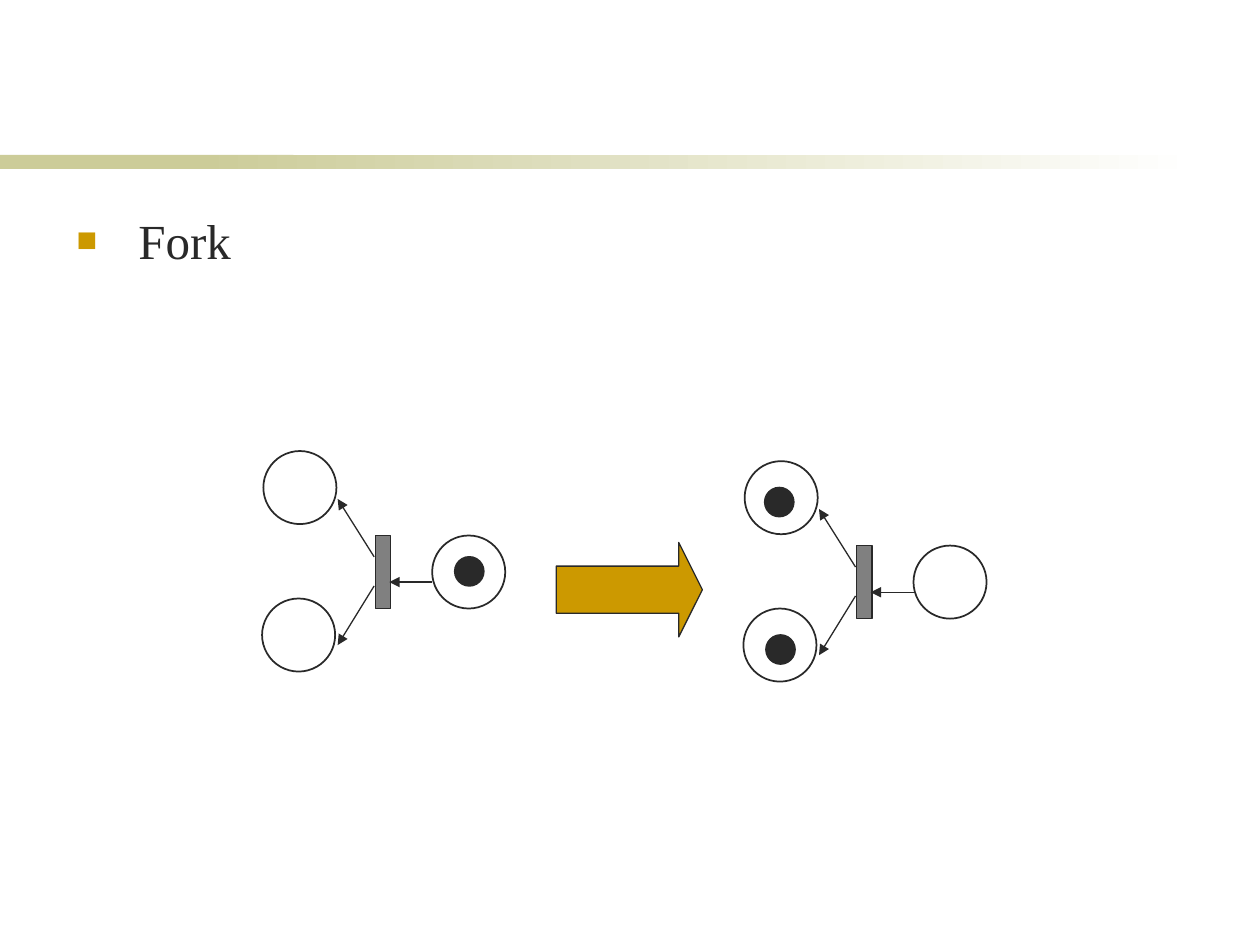
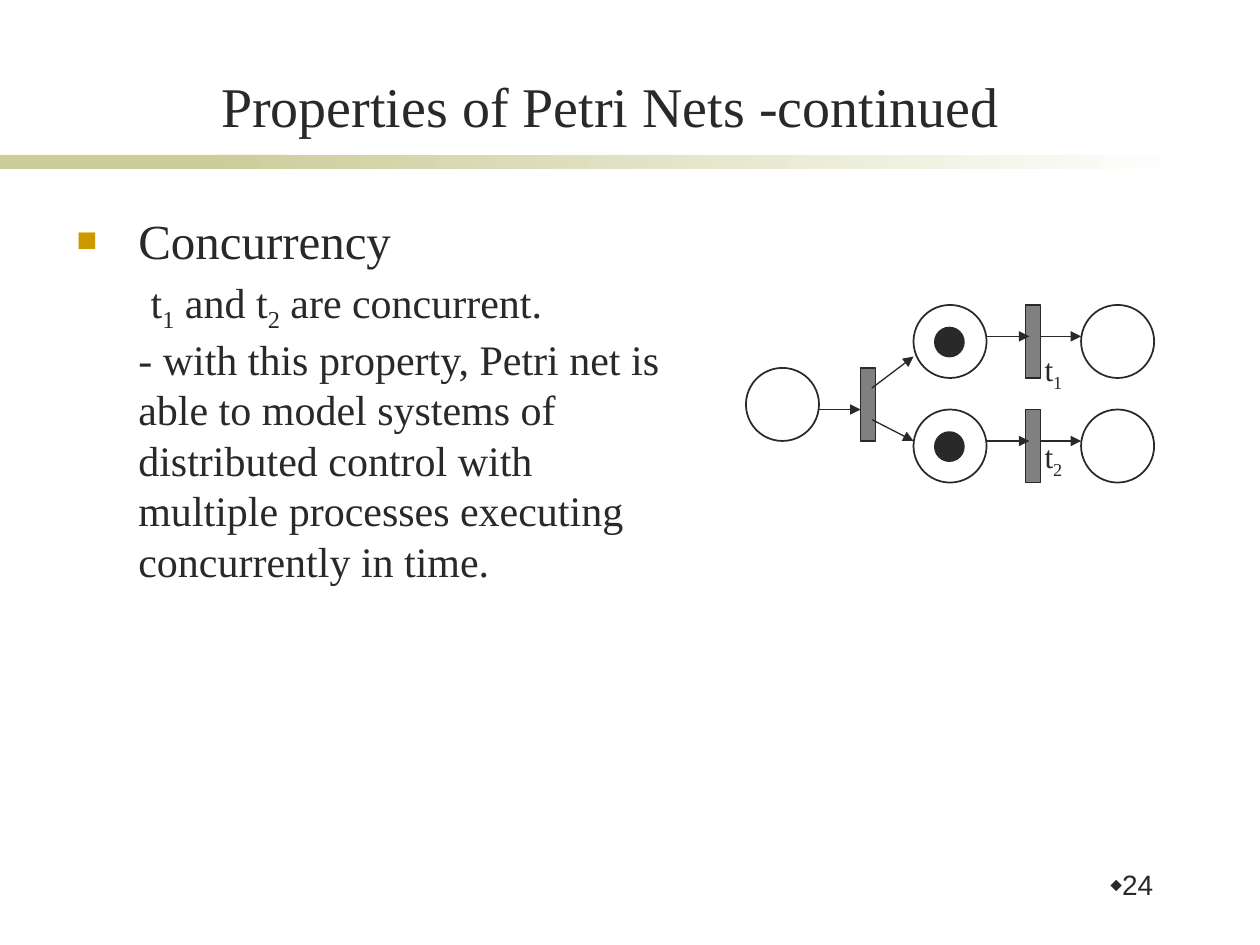
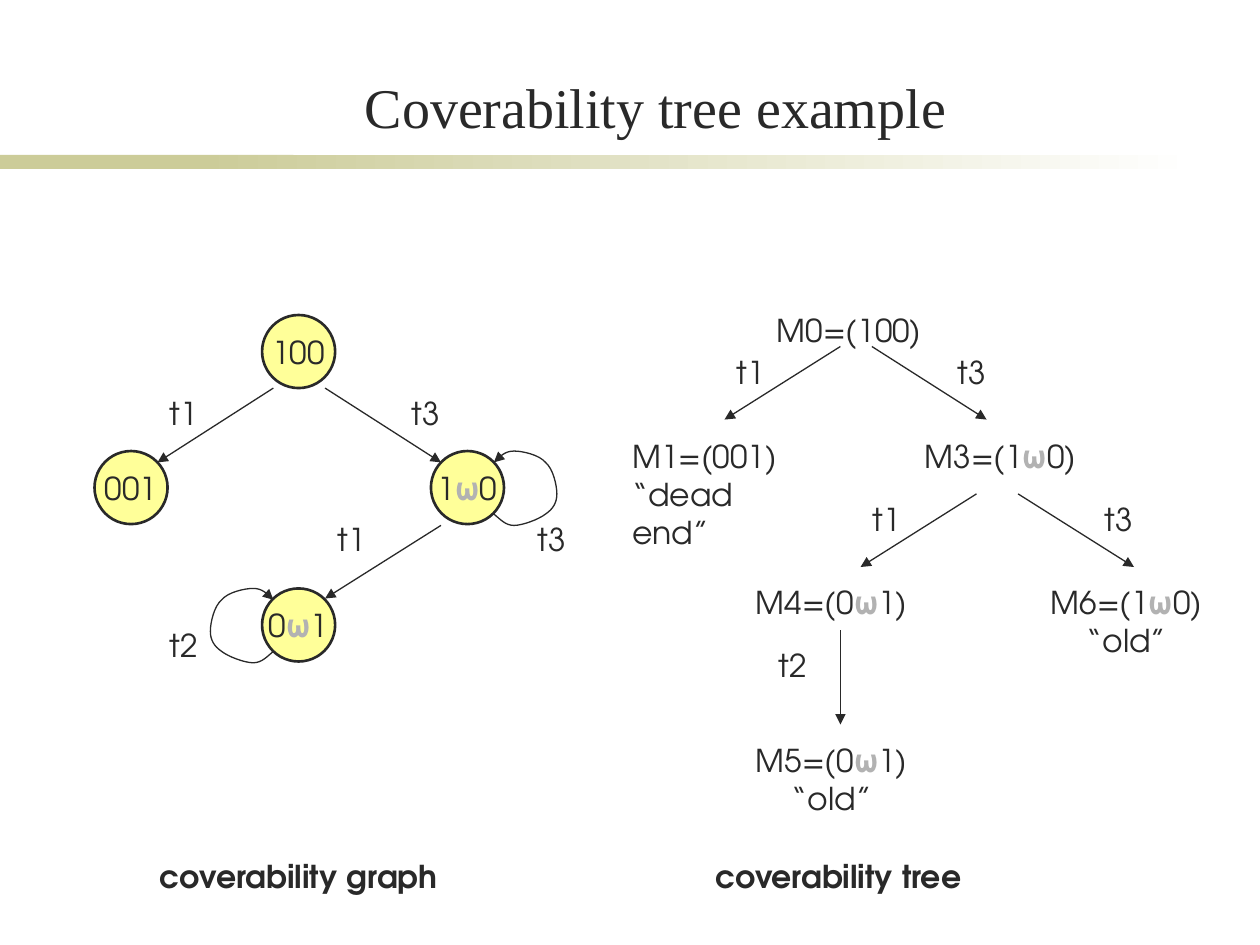
from dataclasses import dataclass

from lxml.etree import SubElement
from pptx import Presentation
from pptx.dml.color import RGBColor
from pptx.enum.shapes import MSO_CONNECTOR, MSO_SHAPE
from pptx.enum.text import MSO_ANCHOR, PP_ALIGN
from pptx.oxml.ns import qn
from pptx.util import Inches, Pt


@dataclass(frozen=True)
class Theme:
    ink: str = "292929"
    accent: str = "CC9900"
    band: str = "CCCC99"
    white: str = "FFFFFF"
    bar: str = "808080"
    node: str = "FFFF99"
    omega: str = "B2B2B2"
    serif: str = "Times New Roman"
    sans: str = "Arial"
    graph: str = "TeX Gyre Adventor"
    title: int = 32
    body: int = 28
    detail: int = 24
    label: int = 18
    number: int = 16
    thin: float = 0.75
    place: float = 1
    thick: float = 1.5


T = Theme()
PLACE, TOKEN, BAR = 0.58, 0.23, 0.12
STATE_WIDTH = 1.49

# Bezier points of a self-loop, relative to its start
LOOP = [
    (0, 0), (0.05, 0.04), (0.09, 0.09), (0.16, 0.09), (0.23, 0.09),
    (0.36, 0.04), (0.41, 0), (0.47, -0.04), (0.5, -0.09), (0.5, -0.16),
    (0.5, -0.23), (0.47, -0.36), (0.41, -0.41), (0.36, -0.47),
    (0.23, -0.5), (0.16, -0.5), (0.09, -0.5), (0.05, -0.46), (0, -0.41),
]


def rgb(value):
    return RGBColor.from_string(value)


# Text
def add_run(p, text, size, font, color=T.ink, bold=False, subscript=False):
    r = p.add_run()
    r.text = text
    r.font.size = Pt(size)
    r.font.name = font
    r.font.bold = bold
    r.font.color.rgb = rgb(color)
    if subscript:
        r.font._element.set("baseline", "-25000")


def add_marking(p, text, bold=False):
    """Write a marking, with each omega in bold grey."""
    before, omega, after = text.partition("ω")
    add_run(p, before, T.label, T.graph, bold=bold)
    if omega:
        add_run(p, omega, T.label, T.graph, T.omega, bold=True)
        add_run(p, after, T.label, T.graph)


def add_text_box(slide, x, y, w, h):
    tf = slide.shapes.add_textbox(Inches(x), Inches(y), Inches(w), Inches(h)).text_frame
    tf.word_wrap = True
    return tf


def clear_margins(tf):
    tf.margin_left = tf.margin_right = tf.margin_top = tf.margin_bottom = 0


def set_bullet(p, char, color, percent, indent=0.0):
    pPr = p._p.get_or_add_pPr()
    pPr.set("marL", str(Inches(indent)))
    pPr.set("indent", str(-Inches(indent)))
    before = SubElement(pPr, qn("a:spcBef"))
    SubElement(before, qn("a:spcPct")).set("val", "20000")
    bullet_color = SubElement(pPr, qn("a:buClr"))
    SubElement(bullet_color, qn("a:srgbClr")).set("val", color)
    SubElement(pPr, qn("a:buSzPct")).set("val", str(percent * 1000))
    SubElement(pPr, qn("a:buFont")).set("typeface", T.sans)
    SubElement(pPr, qn("a:buChar")).set("char", char)


def set_title(slide, text, x, y, w, h):
    sp = slide.shapes.title
    sp.left, sp.top, sp.width, sp.height = (Inches(v) for v in (x, y, w, h))
    tf = sp.text_frame
    tf.vertical_anchor = MSO_ANCHOR.BOTTOM
    p = tf.paragraphs[0]
    p.alignment = PP_ALIGN.CENTER
    add_run(p, text, T.title, T.serif)


def add_body(slide, heading, width):
    p = add_text_box(slide, 0.51, 1.62, width, 4.8).paragraphs[0]
    set_bullet(p, "■", T.accent, 70, 0.49)
    add_run(p, heading, T.body, T.serif)
    return p


def add_slide_number(slide, number):
    p = add_text_box(slide, 8.23, 6.87, 1.02, 0.5).paragraphs[0]
    p.alignment = PP_ALIGN.RIGHT
    p.line_spacing = 0.9
    set_bullet(p, "⬥", T.ink, 60)
    add_run(p, number, T.number, T.sans)


def add_label(slide, lines, x, y, w=0.46, align=PP_ALIGN.LEFT, bold=False):
    tf = add_text_box(slide, x, y, w, 0.1 + 0.3 * len(lines))
    for i, line in enumerate(lines):
        p = tf.add_paragraph() if i else tf.paragraphs[0]
        p.alignment = align
        add_marking(p, line, bold)


def add_state(slide, lines, center, y):
    add_label(slide, lines, center - STATE_WIDTH / 2, y, STATE_WIDTH, PP_ALIGN.CENTER)


def add_transition_name(slide, index, x, y):
    tf = add_text_box(slide, x, y, 0.3, 0.3)
    clear_margins(tf)
    add_run(tf.paragraphs[0], "t", T.label, T.serif)
    add_run(tf.paragraphs[0], index, T.label, T.serif, subscript=True)


# Shapes and lines
def add_shape(slide, kind, x, y, w, h, fill=None, line=None):
    sp = slide.shapes.add_shape(kind, Inches(x), Inches(y), Inches(w), Inches(h))
    sp.shadow.inherit = False
    if fill:
        sp.fill.solid()
        sp.fill.fore_color.rgb = rgb(fill)
    else:
        sp.fill.background()
    if line:
        sp.line.color.rgb = rgb(T.ink)
        sp.line.width = Pt(line)
    else:
        sp.line.fill.background()
    return sp


def add_place(slide, x, y, token=None):
    """Draw a place; token is the offset of its mark, if it holds one."""
    add_shape(slide, MSO_SHAPE.OVAL, x, y, PLACE, PLACE, line=T.place)
    if token:
        dx, dy = token
        add_shape(slide, MSO_SHAPE.OVAL, x + dx, y + dy, TOKEN, TOKEN, T.ink, T.place)


def add_bar(slide, x, y):
    add_shape(slide, MSO_SHAPE.RECTANGLE, x, y, BAR, PLACE, T.bar, T.thin)


def add_node(slide, text, x, y):
    sp = add_shape(slide, MSO_SHAPE.OVAL, x, y, PLACE, PLACE, T.node, T.thick)
    tf = sp.text_frame
    clear_margins(tf)
    tf.word_wrap = False
    tf.vertical_anchor = MSO_ANCHOR.MIDDLE
    p = tf.paragraphs[0]
    p.alignment = PP_ALIGN.CENTER
    add_marking(p, text)


def style_arrow(sp):
    sp.line.color.rgb = rgb(T.ink)
    sp.line.width = Pt(T.thin)
    SubElement(sp.line._get_or_add_ln(), qn("a:tailEnd")).set("type", "triangle")


def add_arrow(slide, x1, y1, x2, y2):
    sp = slide.shapes.add_connector(
        MSO_CONNECTOR.STRAIGHT, Inches(x1), Inches(y1), Inches(x2), Inches(y2))
    style_arrow(sp)
    SubElement(sp._element.spPr, qn("a:effectLst"))


def bezier(points, steps=8):
    """Yield points along joined cubic curves, after the first point."""
    for i in range(0, len(points) - 1, 3):
        a, b, c, d = points[i:i + 4]
        for t in (n / steps for n in range(1, steps + 1)):
            u = 1 - t
            weights = (u ** 3, 3 * u * u * t, 3 * u * t * t, t ** 3)
            yield tuple(sum(k * q[axis] for k, q in zip(weights, (a, b, c, d)))
                        for axis in (0, 1))


def add_loop(slide, x, y, side):
    """Draw a self-loop that bulges right (side 1) or left (side -1)."""
    builder = slide.shapes.build_freeform(Inches(x), Inches(y))
    builder.add_line_segments(
        [(Inches(x + side * dx), Inches(y + dy)) for dx, dy in bezier(LOOP)], close=False)
    sp = builder.convert_to_shape()
    sp.shadow.inherit = False
    sp.fill.background()
    style_arrow(sp)


# Master
def move_band_to_master(prs, slide):
    solid = add_shape(slide, MSO_SHAPE.RECTANGLE, 0, 1.23, 2.33, 0.11, T.band)
    fade = add_shape(slide, MSO_SHAPE.RECTANGLE, 1.58, 1.23, 7.92, 0.11)
    fade.fill.gradient()
    fade.fill.gradient_angle = 0
    for stop, color in zip(fade.fill.gradient_stops, (T.band, T.white)):
        stop.color.rgb = rgb(color)
    for number, sp in enumerate((solid, fade), start=101):
        sp.element.nvSpPr.cNvPr.set("id", str(number))
        prs.slide_master.element.cSld.spTree.append(sp.element)


# Slides
def draw_fork(slide, x, y, input_token=None, output_tokens=(None, None)):
    add_place(slide, x + 0.01, y, output_tokens[0])
    add_place(slide, x, y + 1.17, output_tokens[1])
    add_place(slide, x + 1.35, y + 0.67, input_token)
    add_bar(slide, x + 0.9, y + 0.67)
    for x1, y1, x2, y2 in ((0.89, 0.84, 0.6, 0.38), (0.89, 1.07, 0.6, 1.54),
                           (1.35, 1.04, 1.01, 1.04)):
        add_arrow(slide, x + x1, y + y1, x + x2, y + y2)


def build_fork(slide):
    add_body(slide, "Fork", 8.9)
    draw_fork(slide, 2.08, 3.58, input_token=(0.18, 0.17))
    draw_fork(slide, 5.9, 3.66, output_tokens=((0.16, 0.21), (0.18, 0.21)))
    arrow = add_shape(slide, MSO_SHAPE.DOWN_ARROW, 4.62, 4.1, 0.75, 1.16, T.accent, T.thin)
    arrow.rotation = 270
    arrow.adjustments[0], arrow.adjustments[1] = 0.5, 0.25


def build_concurrency(slide):
    set_title(slide, "Properties of Petri Nets -continued", 1.12, 0.52, 7.45, 0.63)
    p = add_body(slide, "Concurrency", 4.9)
    p.add_line_break()
    add_run(p, " ", T.body, T.serif)
    for text, subscript in (("t", False), ("1", True), (" and t", False), ("2", True),
                            (" are concurrent.", False)):
        add_run(p, text, T.detail, T.serif, subscript=subscript)
    p.add_line_break()
    add_run(p, "- with this property, Petri net is able to model systems of distributed "
               "control with multiple processes executing concurrently in time.",
            T.detail, T.serif)
    add_slide_number(slide, "24")

    # Shared start of the net
    add_place(slide, 5.92, 2.92)
    add_bar(slide, 6.83, 2.92)
    add_arrow(slide, 6.5, 3.25, 6.83, 3.25)
    add_arrow(slide, 6.92, 3.08, 7.25, 2.83)
    add_arrow(slide, 6.92, 3.33, 7.25, 3.5)

    # Concurrent branches
    for index, y, name_y in (("1", 2.42, 2.78), ("2", 3.25, 3.47)):
        add_place(slide, 7.25, y, (0.17, 0.18))
        add_bar(slide, 8.14, y)
        add_place(slide, 8.58, y)
        add_arrow(slide, 7.83, y + 0.25, 8.17, y + 0.25)
        add_arrow(slide, 8.25, y + 0.25, 8.58, y + 0.25)
        add_transition_name(slide, index, 8.29, name_y)


def build_coverability(slide):
    set_title(slide, "Coverability tree example", 0.74, 0.33, 8.93, 0.83)

    # Graph nodes and self-loops
    for text, x, y in (("100", 2.08, 2.5), ("001", 0.75, 3.58),
                       ("1ω0", 3.42, 3.58), ("0ω1", 2.08, 4.67)):
        add_node(slide, text, x, y)
    add_loop(slide, 3.92, 4.08, 1)
    add_loop(slide, 2.17, 5.17, -1)

    # Tree states
    add_state(slide, ["M0=(100)"], 6.74, 2.42)
    add_label(slide, ["M1=(001)", "“dead end”"], 4.92, 3.42, 1.59)
    add_state(slide, ["M3=(1ω0)"], 7.94, 3.42)
    add_state(slide, ["M4=(0ω1)"], 6.6, 4.58)
    add_state(slide, ["M6=(1ω0)", "“old”"], 8.94, 4.58)
    add_state(slide, ["M5=(0ω1)", "“old”"], 6.6, 5.83)

    # Arrows of the graph, then of the tree
    for ends in ((2.17, 3.08, 1.25, 3.67), (2.58, 3.08, 3.5, 3.67), (3.5, 4.17, 2.58, 4.75),
                 (6.67, 2.75, 5.75, 3.33), (6.92, 2.75, 7.83, 3.33),
                 (7.75, 3.92, 6.83, 4.5), (8.08, 3.92, 9, 4.5), (6.67, 5, 6.67, 5.75)):
        add_arrow(slide, *ends)

    # Transition names
    for name, x, y in (("t1", 1.25, 3.08), ("t3", 3.17, 3.08), ("t1", 2.58, 4.08),
                       ("t3", 4.17, 4.08), ("t2", 1.25, 4.92), ("t1", 5.75, 2.75),
                       ("t3", 7.5, 2.75), ("t1", 6.83, 3.92), ("t3", 8.67, 3.92),
                       ("t2", 6.08, 5.08)):
        add_label(slide, [name], x, y)

    # Captions
    add_label(slide, ["coverability graph"], 1.17, 6.75, 3.04, bold=True)
    add_label(slide, ["coverability tree"], 5.58, 6.75, 2.76, bold=True)


def main():
    prs = Presentation()
    prs.slide_width, prs.slide_height = Inches(10), Inches(7.5)
    title_only, blank = prs.slide_layouts[5], prs.slide_layouts[6]

    fork = prs.slides.add_slide(blank)
    move_band_to_master(prs, fork)
    build_fork(fork)
    build_concurrency(prs.slides.add_slide(title_only))
    build_coverability(prs.slides.add_slide(title_only))
    prs.save("out.pptx")


if __name__ == "__main__":
    main()
